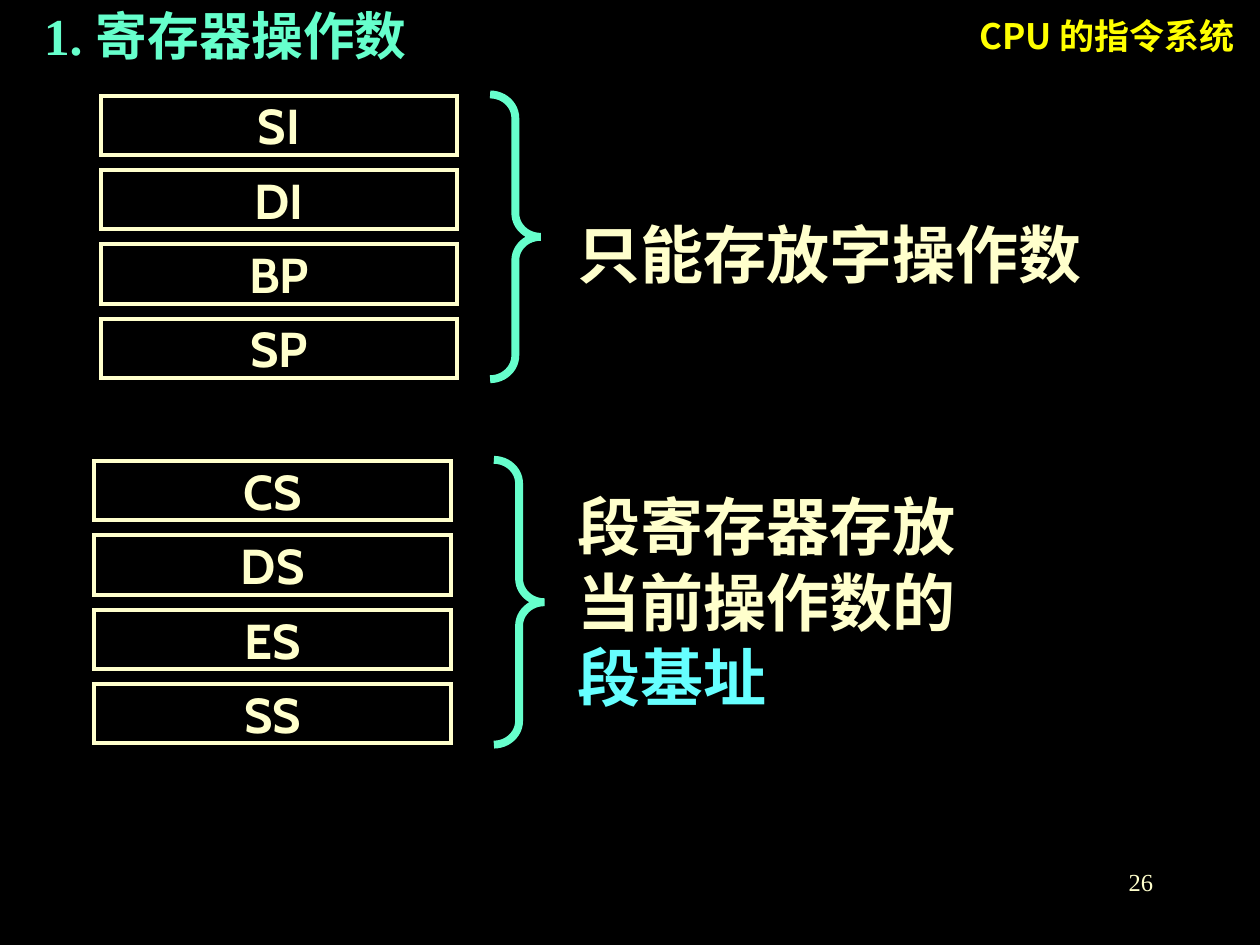
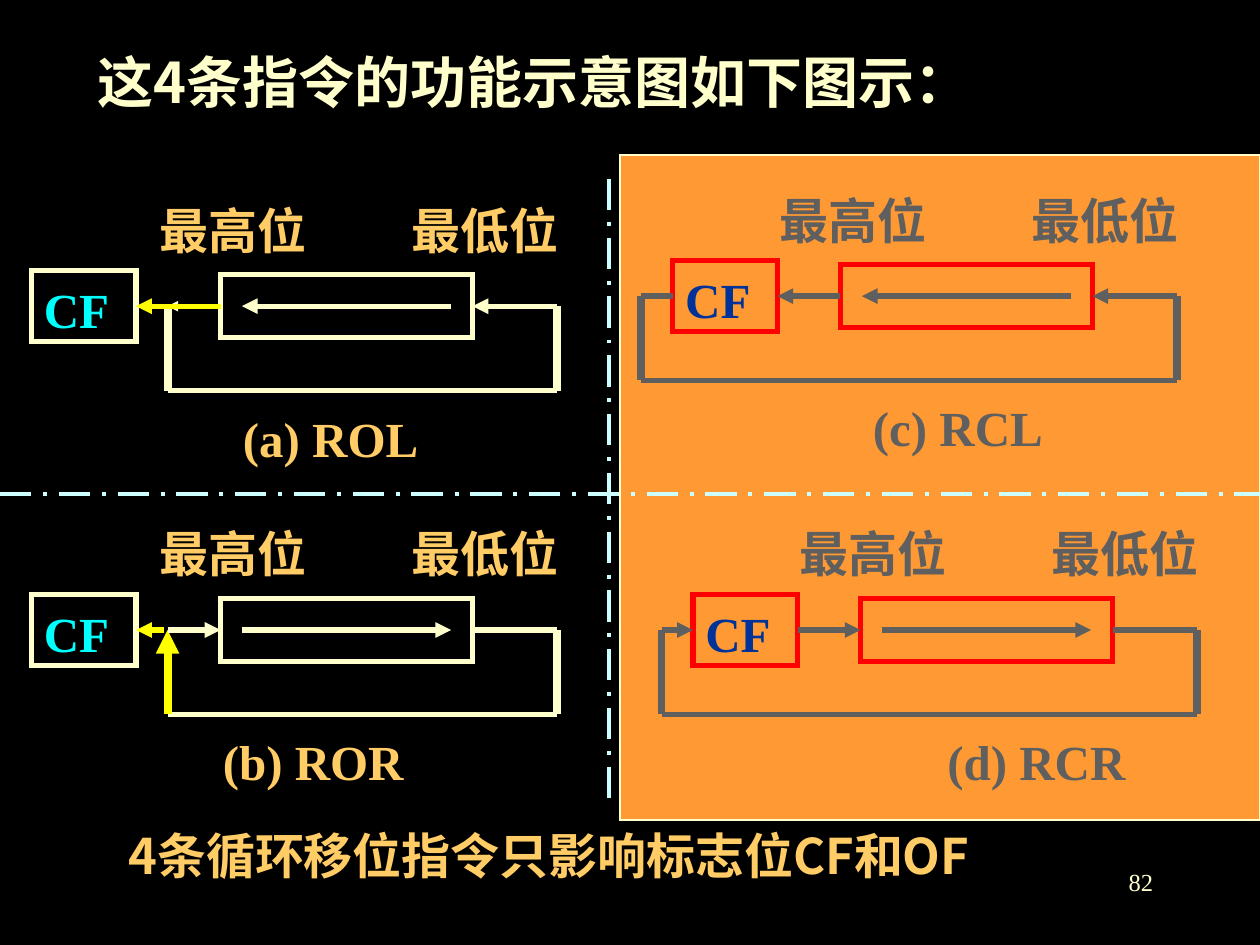
from dataclasses import dataclass
from typing import Optional

from lxml import etree
from pptx import Presentation
from pptx.dml.color import RGBColor
from pptx.enum import dml, shapes, text
from pptx.oxml import ns
from pptx.util import Inches, Pt

BLACK = RGBColor(0x00, 0x00, 0x00)
CREAM = RGBColor(0xFF, 0xFF, 0xCC)
MINT = RGBColor(0x66, 0xFF, 0xCC)
YELLOW = RGBColor(0xFF, 0xFF, 0x00)
SKY = RGBColor(0x66, 0xFF, 0xFF)
CYAN = RGBColor(0x00, 0xFF, 0xFF)
PALE_BLUE = RGBColor(0xCC, 0xFF, 0xFF)
ORANGE = RGBColor(0xFF, 0x99, 0x33)
GOLD = RGBColor(0xFF, 0xCC, 0x66)
GRAY = RGBColor(0x5F, 0x5F, 0x5F)
RED = RGBColor(0xFF, 0x00, 0x00)
NAVY = RGBColor(0x00, 0x33, 0x99)

SERIF = "Times New Roman"
SANS = "Noto Sans CJK SC"
REGISTER_FONT = "Cabin"
LINE_HEIGHT = 1.2


@dataclass(frozen=True)
class RegisterGroup:
    names: tuple[str, ...]
    left: float
    top: float
    pitch: float
    brace_left: float
    note_top: float
    note_width: float
    note_height: float
    note: tuple[tuple[str, RGBColor], ...]


@dataclass(frozen=True)
class Palette:
    label: RGBColor
    outline: RGBColor
    flow: RGBColor
    carry: RGBColor


@dataclass(frozen=True)
class Rotation:
    caption: str
    caption_left: float
    register_left: float
    axis: float
    leftward: bool
    through_carry: bool
    palette: Palette


DARK = Palette(label=GOLD, outline=CREAM, flow=CREAM, carry=CYAN)
LIGHT = Palette(label=GRAY, outline=RED, flow=GRAY, carry=NAVY)

GROUPS = (
    RegisterGroup(("SI", "DI", "BP", "SP"), 0.8, 0.76, 0.59, 3.89, 1.71, 4.33, 0.6,
                  (("只能存放字操作数", CREAM),)),
    RegisterGroup(("CS", "DS", "ES", "SS"), 0.75, 3.66, 0.59, 3.92, 3.87, 3.21, 1.8,
                  (("段寄存器存放当前操作数的", CREAM), ("段基址", SKY))),
)

ROTATIONS = (
    Rotation("(a) ROL", 1.83, 1.75, 2.43, True, False, DARK),
    Rotation("(c) RCL", 6.83, 6.67, 2.35, True, True, LIGHT),
    Rotation("(b) ROR", 1.67, 1.75, 5, False, False, DARK),
    Rotation("(d) RCR", 7.42, 6.83, 5, False, True, LIGHT),
)


def write(box, spans, *, size: float, font: str = SERIF, bold: bool = True,
          align=text.PP_ALIGN.LEFT, anchor=text.MSO_ANCHOR.TOP,
          margins: tuple[float, float] = (0.1, 0.05),
          spacing: Optional[float] = LINE_HEIGHT) -> None:
    """Fill a shape with one paragraph of (text, colour) spans; spacing is in ems."""
    frame = box.text_frame
    frame.word_wrap = True
    frame.auto_size = text.MSO_AUTO_SIZE.NONE
    frame.vertical_anchor = anchor
    frame.margin_left = frame.margin_right = Inches(margins[0])
    frame.margin_top = frame.margin_bottom = Inches(margins[1])
    para = frame.paragraphs[0]
    para.alignment = align
    para.space_before = Pt(0)
    if spacing:
        para.line_spacing = Pt(size * spacing)
    for words, colour in spans:
        span = para.add_run()
        span.text = words
        span.font.size = Pt(size)
        span.font.bold = bold
        span.font.color.rgb = colour
        span.font.name = font
        properties = span.font._element
        etree.SubElement(properties, ns.qn("a:ea"), typeface=SANS)


def add_text(page, left: float, top: float, width: float, height: float,
             spans, **style):
    box = page.shapes.add_textbox(Inches(left), Inches(top),
                                  Inches(width), Inches(height))
    write(box, spans, **style)
    return box


def add_title(page, left: float, top: float, width: float, height: float,
              words: str, colour: RGBColor, **style) -> None:
    title = page.shapes.title
    title.left, title.top = Inches(left), Inches(top)
    title.width, title.height = Inches(width), Inches(height)
    write(title, [(words, colour)], font=SANS, spacing=None, **style)


def add_outline(page, kind, left: float, top: float, width: float, height: float,
                colour: RGBColor, weight: float, fill: Optional[RGBColor] = None):
    """Draw a preset shape with sharp corners, unfilled unless a fill is given."""
    shape = page.shapes.add_shape(kind, Inches(left), Inches(top),
                                  Inches(width), Inches(height))
    shape.shadow.inherit = False
    if fill is None:
        shape.fill.background()
    else:
        shape.fill.solid()
        shape.fill.fore_color.rgb = fill
    shape.line.color.rgb = colour
    shape.line.width = Pt(weight)
    etree.SubElement(shape._element.spPr.find(ns.qn("a:ln")), ns.qn("a:miter"),
                     lim="800000")
    return shape


def add_line(page, start: tuple[float, float], end: tuple[float, float],
             colour: RGBColor, weight: float = 3, arrow: bool = False,
             dash=None, begin_at=None, end_at=None) -> None:
    """Draw a line; begin_at and end_at are (shape, connection site) pairs."""
    line = page.shapes.add_connector(
        shapes.MSO_CONNECTOR.STRAIGHT, *map(Inches, start), *map(Inches, end))
    if begin_at:
        line.begin_connect(*begin_at)
    if end_at:
        line.end_connect(*end_at)
    line.line.color.rgb = colour
    line.line.width = Pt(weight)
    if dash:
        line.line.dash_style = dash
    properties = line._element.spPr
    if arrow:
        etree.SubElement(properties.find(ns.qn("a:ln")), ns.qn("a:tailEnd"),
                         type="triangle")
    etree.SubElement(properties, ns.qn("a:effectLst"))


def add_page(deck, number: str):
    page = deck.slides.add_slide(deck.slide_layouts[5])
    page.background.fill.solid()
    page.background.fill.fore_color.rgb = BLACK
    add_text(page, 7.17, 6.83, 2.08, 0.5, [(number, CREAM)], size=14,
             bold=False, align=text.PP_ALIGN.RIGHT)
    return page


def draw_register_group(page, group: RegisterGroup) -> None:
    for row, name in enumerate(group.names):
        box = add_outline(page, shapes.MSO_SHAPE.RECTANGLE, group.left,
                          group.top + row * group.pitch, 2.83, 0.47, CREAM, 2.25)
        write(box, [(name, CREAM)], size=28, font=REGISTER_FONT, spacing=None,
              align=text.PP_ALIGN.CENTER, anchor=text.MSO_ANCHOR.MIDDLE,
              margins=(0, 0))
    brace = add_outline(page, shapes.MSO_SHAPE.RIGHT_BRACE, group.brace_left,
                        group.top - 0.01, 0.4, 2.26, MINT, 4.5)
    brace.adjustments[0] = 0.47
    add_text(page, 4.58, group.note_top, group.note_width, group.note_height,
             group.note, size=36, margins=(0, 0))


def draw_rotation(page, rotation: Rotation) -> None:
    x, y, palette = rotation.register_left, rotation.axis, rotation.palette
    flow, leftward = palette.flow, rotation.leftward
    rectangle = shapes.MSO_SHAPE.RECTANGLE
    carry_left = x - (1.33 if rotation.through_carry else 1.5)
    loop_left = x - (1.58 if rotation.through_carry else 0.42)
    loop_right, loop_bottom = x + 2.67, y + 0.67

    for words, offset in (("最高位", -0.58), ("最低位", 1.42)):
        add_text(page, x + offset, y - 0.89, 1.5, 0.57,
                 [(words, palette.label)], size=28)
    add_text(page, rotation.caption_left, y + 0.76, 2.58, 0.57,
             [(rotation.caption, palette.label)], size=28)
    register = add_outline(page, rectangle, x, y - 0.25, 2, 0.5, palette.outline, 3)
    carry = add_outline(page, rectangle, carry_left, y - 0.28, 0.83, 0.56,
                        palette.outline, 3)
    write(carry, [("CF", palette.carry)], size=28, margins=(0.1, 0.07))

    def along(left: float, right: float, left_join=None, right_join=None,
              arrow: bool = True, colour: RGBColor = flow, weight: float = 3,
              to_left: bool = leftward) -> None:
        """Draw a line on the axis, pointing the way the bits move."""
        ends, joins = [(left, y), (right, y)], [left_join, right_join]
        if to_left:
            ends.reverse()
            joins.reverse()
        add_line(page, *ends, colour, weight, arrow,
                 begin_at=joins[0], end_at=joins[1])

    carry_right = carry_left + 0.83
    along(x + 0.17, x + 1.83)
    along(x + 2, loop_right, left_join=(register, 3), arrow=leftward)
    add_line(page, (loop_right, y), (loop_right, loop_bottom), flow, 4.5)
    add_line(page, (loop_right, loop_bottom), (loop_left, loop_bottom), flow)
    rising_into_carry = not rotation.through_carry and not leftward
    add_line(page, (loop_left, loop_bottom), (loop_left, y),
             YELLOW if rising_into_carry else flow, 4.5, arrow=rising_into_carry)

    if rotation.through_carry:
        along(loop_left, carry_left, right_join=(carry, 1), arrow=not leftward)
        along(carry_right, x, (carry, 3), (register, 1))
    else:
        along(loop_left, x, right_join=(register, 1), weight=2 if leftward else 3)
        along(carry_right, x if leftward else loop_left - 0.03, (carry, 3),
              (register, 1) if leftward else None, colour=YELLOW, to_left=True)


def build_register_page(deck) -> None:
    page = add_page(deck, "26")
    add_title(page, 7.67, -0.08, 2.42, 0.58, "CPU 的指令系统", YELLOW,
              size=20, anchor=text.MSO_ANCHOR.BOTTOM)
    add_text(page, 0.25, 0.08, 3.67, 0.5, [("1. 寄存器操作数", MINT)],
             size=29.6, spacing=0.96)
    for group in GROUPS:
        draw_register_group(page, group)


def build_rotation_page(deck) -> None:
    page = add_page(deck, "82")
    add_title(page, 0.67, 0.33, 7.96, 0.83, "这4条指令的功能示意图如下图示：",
              CREAM, size=32)
    add_outline(page, shapes.MSO_SHAPE.RECTANGLE, 4.92, 1.23, 5.08, 5.28,
                CREAM, 1, fill=ORANGE)
    for rotation in ROTATIONS:
        draw_rotation(page, rotation)
    for start, end in (((0, 3.92), (10, 3.92)), ((4.83, 1.42), (4.83, 6.42))):
        add_line(page, start, end, PALE_BLUE, 2.25,
                 dash=dml.MSO_LINE.LONG_DASH_DOT)
    add_text(page, 0.92, 6.5, 7.75, 0.57,
             [("4条循环移位指令只影响标志位CF和OF", GOLD)],
             size=28, font=SANS, spacing=None)


def main() -> None:
    deck = Presentation()
    deck.slide_width, deck.slide_height = Inches(10), Inches(7.5)
    build_register_page(deck)
    build_rotation_page(deck)
    deck.save("out.pptx")


if __name__ == "__main__":
    main()
